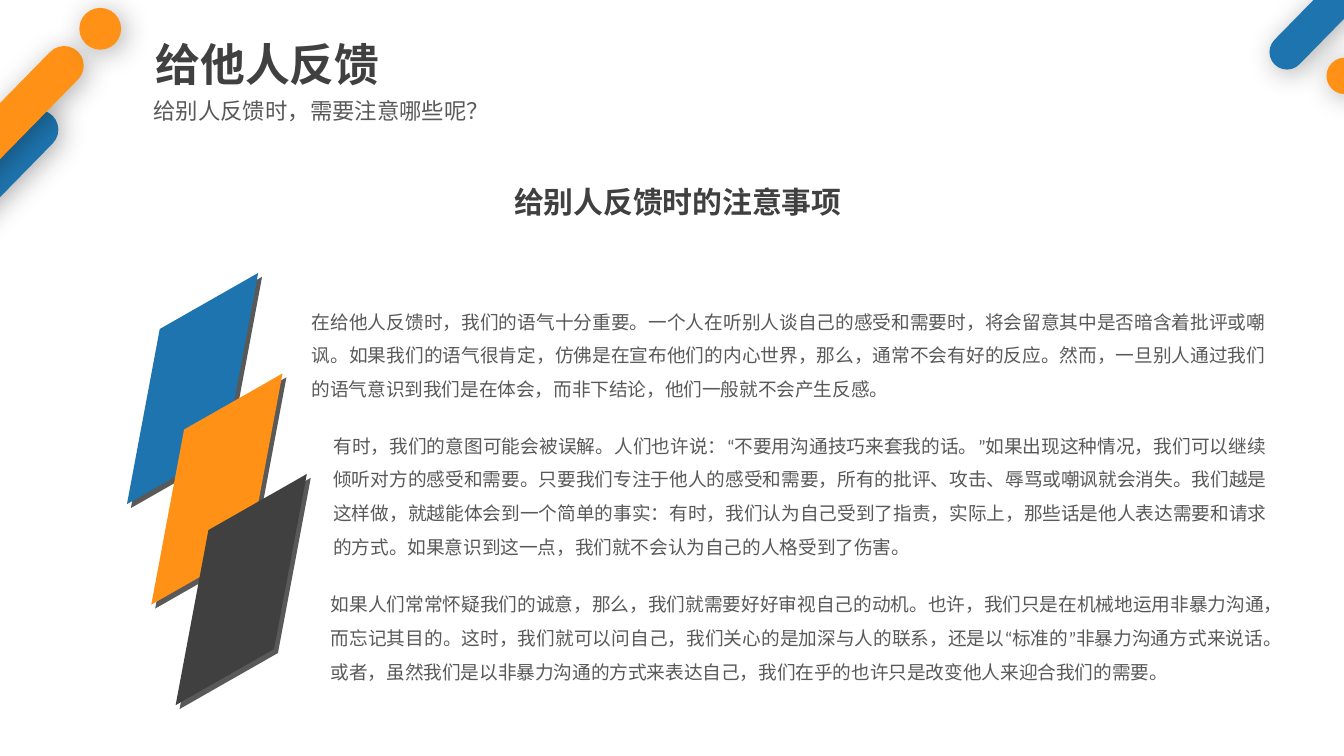
import pptx
import pptx.dml.color
import pptx.enum.shapes
import pptx.enum.text
import pptx.oxml
import pptx.oxml.ns
import pptx.util

BLUE, ORANGE, DARK, GREY = "1E74AE", "FF9216", "404040", "595959"
BODY_FONT, TITLE_FONT = "Calibri", "Noto Sans CJK SC"
ALIGN = pptx.enum.text.PP_ALIGN
ANCHOR = pptx.enum.text.MSO_ANCHOR
SHAPE = pptx.enum.shapes.MSO_SHAPE

ADVICE = [
    ((5.89, 5.66, 18.03, 1.85),
     "在给他人反馈时，我们的语气十分重要。一个人在听别人谈自己的感受和需要时，将会留意其中是否暗含着批评或嘲讽。"
     "如果我们的语气很肯定，仿佛是在宣布他们的内心世界，那么，通常不会有好的反应。"
     "然而，一旦别人通过我们的语气意识到我们是在体会，而非下结论，他们一般就不会产生反感。"),
    ((6.3, 8, 17.63, 2.49),
     "有时，我们的意图可能会被误解。人们也许说：“不要用沟通技巧来套我的话。”如果出现这种情况，"
     "我们可以继续倾听对方的感受和需要。只要我们专注于他人的感受和需要，所有的批评、攻击、辱骂或嘲讽就会消失。"
     "我们越是这样做，就越能体会到一个简单的事实：有时，我们认为自己受到了指责，"
     "实际上，那些话是他人表达需要和请求的方式。如果意识到这一点，我们就不会认为自己的人格受到了伤害。"),
    ((6.25, 11, 17.63, 1.85),
     "如果人们常常怀疑我们的诚意，那么，我们就需要好好审视自己的动机。"
     "也许，我们只是在机械地运用非暴力沟通，而忘记其目的。这时，我们就可以问自己，"
     "我们关心的是加深与人的联系，还是以“标准的”非暴力沟通方式来说话。"
     "或者，虽然我们是以非暴力沟通的方式来表达自己，我们在乎的也许只是改变他人来迎合我们的需要。"),
]


def colour(value):
    return pptx.dml.color.RGBColor.from_string(value)


def lengths(box):
    return [pptx.util.Cm(value) for value in box]


def paint(shape, fill, shade, opacity, blur):
    """Fill a shape and cast a shadow of 3 pt down to the right."""
    shape.fill.solid()
    shape.fill.fore_color.rgb = colour(fill)
    shape.line.fill.background()
    shape.shadow.inherit = False
    effects = shape.element.spPr.find(pptx.oxml.ns.qn("a:effectLst"))
    effects.append(pptx.oxml.parse_xml(
        f'<a:outerShdw {pptx.oxml.ns.nsdecls("a")} blurRad="{pptx.util.Pt(blur)}" '
        f'dist="{pptx.util.Pt(3)}" dir="2700000" algn="tl" rotWithShape="0">'
        f'<a:srgbClr val="{shade}"><a:alpha val="{opacity * 1000}"/></a:srgbClr>'
        '</a:outerShdw>'))


def write(shape, text, size, hue, font=BODY_FONT, bold=False, align=ALIGN.JUSTIFY,
          spacing=1.0, inset=(0, 0), anchor=ANCHOR.TOP):
    frame = shape.text_frame
    frame.text = text
    frame.word_wrap = True
    frame.auto_size = pptx.enum.text.MSO_AUTO_SIZE.NONE
    frame.vertical_anchor = anchor
    frame.margin_left = frame.margin_right = pptx.util.Cm(inset[0])
    frame.margin_top = frame.margin_bottom = pptx.util.Cm(inset[1])
    para = frame.paragraphs[0]
    para.alignment = align
    para.line_spacing = spacing
    span = para.runs[0]
    span.font.size = pptx.util.Pt(size)
    span.font.bold = bold
    span.font.color.rgb = colour(hue)
    span.font.name = font
    for latin in shape.element.iter(pptx.oxml.ns.qn("a:latin")):
        latin.addnext(pptx.oxml.parse_xml(
            f'<a:ea {pptx.oxml.ns.nsdecls("a")} typeface="{font}"/>'))


def add_text(page, box, text, size, hue, **style):
    write(page.shapes.add_textbox(*lengths(box)), text, size, hue, **style)


def add_pill(page, box, fill):
    pill = page.shapes.add_shape(SHAPE.ROUNDED_RECTANGLE, *lengths(box))
    pill.adjustments[0] = 0.5
    pill.rotation = 44.4
    paint(pill, fill, "000000", 30, 15)


def add_dot(page, left, top, size, fill):
    dot = page.shapes.add_shape(SHAPE.OVAL, *lengths((left, top, size, size)))
    paint(dot, fill, "000000", 30, 15)


def add_corners(page):
    add_pill(page, (-0.89, 1.57, 0.74, 4.32), BLUE)
    add_pill(page, (25.45, -2.92, 0.66, 4.83), BLUE)
    add_dot(page, 25.07, 1.09, 0.69, ORANGE)
    add_pill(page, (-0.41, 0.36, 0.74, 4.32), ORANGE)
    add_dot(page, 1.5, 0.15, 0.79, ORANGE)


def add_header(page, left, top):
    title = page.shapes.title
    title.left, title.top, title.width, title.height = lengths((left, top, 15.01, 1.27))
    write(title, "给他人反馈", 24, DARK, font=TITLE_FONT, bold=True, align=ALIGN.LEFT,
          inset=(0.25, 0.13), anchor=ANCHOR.MIDDLE)
    add_text(page, (left + 0.21, top + 1.27, 20.4, 0.51),
             "给别人反馈时，需要注意哪些呢？", 12, GREY)


def add_panels(page, left, top):
    """Three slanted panels, each a step lower and further right."""
    width, height, slant_x, slant_y = 2.48, 4.37, 0.62, 1.06
    corners = [(width, 0), (slant_x, slant_y), (0, height),
               (width - slant_x, height - slant_y)]
    for index, fill in enumerate((BLUE, ORANGE, DARK)):
        x, y = left + 0.46 * index, top + 1.9 * index
        points = [lengths((x + dx, y + dy)) for dx, dy in corners]
        builder = page.shapes.build_freeform(*points[0])
        builder.add_line_segments(points[1:], close=True)
        paint(builder.convert_to_shape(), fill, GREY, 100, 0)


def add_advice(page):
    add_text(page, (8.51, 3.48, 8.61, 0.69), "给别人反馈时的注意事项", 16, DARK,
             bold=True, align=ALIGN.CENTER)
    for box, text in ADVICE:
        add_text(page, box, text, 10, GREY, spacing=1.5)


def main():
    deck = pptx.Presentation()
    deck.slide_width, deck.slide_height = lengths((25.4, 14.29))
    page = deck.slides.add_slide(deck.slide_layouts[5])
    add_corners(page)
    add_header(page, 2.69, 0.56)
    add_panels(page, 2.4, 5.16)
    add_advice(page)
    deck.save("out.pptx")


if __name__ == "__main__":
    main()
